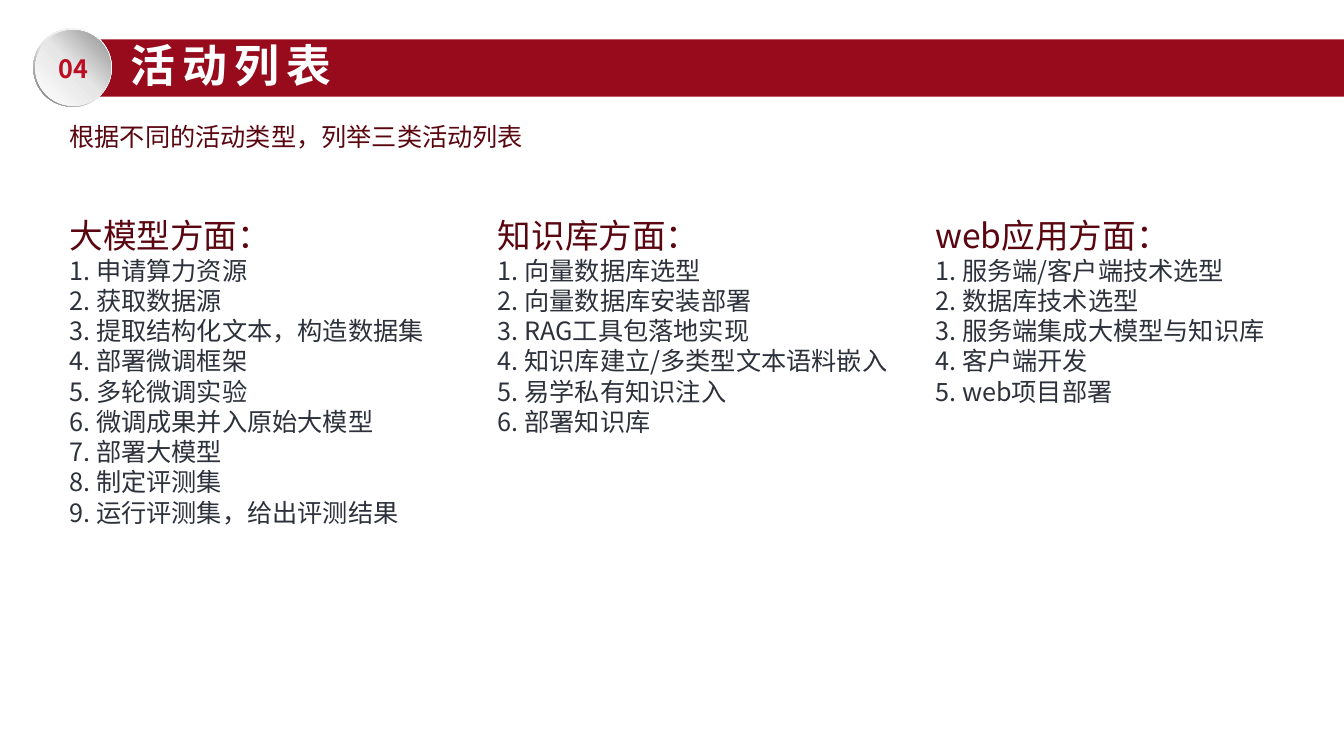
import pptx
import pptx.util
import pptx.dml.color
import pptx.enum.shapes
import pptx.enum.text
import pptx.oxml
import pptx.oxml.ns
import lxml.etree

Inches = pptx.util.Inches
Pt = pptx.util.Pt
SHAPE = pptx.enum.shapes.MSO_SHAPE
FACE = "Noto Sans CJK SC"
WINE = "5A0610"
HEAD = {"size": 24, "color": WINE}
ITEM = {"size": 18, "color": "2D313B"}
LISTS = [
    (0.59, 4.09, 4.14, "大模型方面：", [
        "申请算力资源", "获取数据源", "提取结构化文本，构造数据集",
        "部署微调框架", "多轮微调实验", "微调成果并入原始大模型",
        "部署大模型", "制定评测集", "运行评测集，给出评测结果"]),
    (4.84, 4.18, 2.62, "知识库方面：", [
        "向量数据库选型", "向量数据库安装部署", "RAG工具包落地实现",
        "知识库建立/多类型文本语料嵌入", "易学私有知识注入", "部署知识库"]),
    (9.18, 3.69, 2.32, "web应用方面：", [
        "服务端/客户端技术选型", "数据库技术选型",
        "服务端集成大模型与知识库", "客户端开发", "web项目部署"]),
]


def color(code):
    return pptx.dml.color.RGBColor.from_string(code)


def assign(target, values):
    for name, value in values.items():
        setattr(target, name, value)


def write(par, text, size, color_code, bold=False, gap=0):
    run = par.add_run()
    run.text = text
    assign(run.font, {"name": FACE, "size": Pt(size), "bold": bold})
    run.font.color.rgb = color(color_code)
    props = run.font._element
    lxml.etree.SubElement(props, pptx.oxml.ns.qn("a:ea")).set("typeface", FACE)
    if gap:
        props.set("spc", str(gap * 100))
    par.line_spacing = Pt(size * 1.2)


def add_text(slide, box, lines):
    frame = slide.shapes.add_textbox(*map(Inches, box)).text_frame
    assign(frame, {
        "word_wrap": True,
        "auto_size": pptx.enum.text.MSO_AUTO_SIZE.SHAPE_TO_FIT_TEXT,
    })
    for index, (text, style) in enumerate(lines):
        par = frame.add_paragraph() if index else frame.paragraphs[0]
        write(par, text, style["size"], style["color"],
              style.get("bold", False), style.get("gap", 0))


def add_shape(slide, kind, box):
    shape = slide.shapes.add_shape(kind, *map(Inches, box))
    shape.shadow.inherit = False
    shape.line.fill.background()
    return shape


def shade(shape, stops, angle):
    marks = "".join(
        f'<a:gs pos="{pos * 1000}"><a:srgbClr val="{code}"/></a:gs>'
        for pos, code in stops)
    grad = pptx.oxml.parse_xml(
        f'<a:gradFill {pptx.oxml.ns.nsdecls("a")} rotWithShape="1">'
        f'<a:gsLst>{marks}</a:gsLst>'
        f'<a:lin ang="{angle * 60000}" scaled="0"/></a:gradFill>')
    shape.fill.background()
    blank = shape._element.spPr.find(pptx.oxml.ns.qn("a:noFill"))
    shape._element.spPr.replace(blank, grad)


def add_badge(slide, text):
    ring = add_shape(slide, SHAPE.DONUT, (0.33, 0.28, 0.78, 0.78))
    ring.adjustments[0] = 0.049
    shade(ring, [(0, "FFFFFF"), (55, "E6E6E6"), (100, "6C6C6C")], 135)
    disc = add_shape(slide, SHAPE.OVAL, (0.35, 0.3, 0.75, 0.75))
    shade(disc, [(0, "FFFFFF"), (51, "E6E6E6"), (100, "8F8F8F")], 315)
    frame = disc.text_frame
    edges = ("left", "top", "right", "bottom")
    assign(frame, {f"margin_{edge}": 0 for edge in edges})
    frame.vertical_anchor = pptx.enum.text.MSO_ANCHOR.MIDDLE
    par = frame.paragraphs[0]
    par.alignment = pptx.enum.text.PP_ALIGN.CENTER
    write(par, text, 18, "BB0C21", True)


def add_list(slide, left, width, height, head, items):
    lines = [(head, HEAD)]
    lines += [(f"{num}. {item}", ITEM) for num, item in enumerate(items, 1)]
    add_text(slide, (left, 2.08, width, height), lines)


def main():
    deck = pptx.Presentation()
    assign(deck, {"slide_width": Inches(13.33), "slide_height": Inches(7.5)})
    slide = deck.slides.add_slide(deck.slide_layouts[6])
    band = add_shape(slide, SHAPE.RECTANGLE, (0.79, 0.39, 12.54, 0.57))
    band.fill.solid()
    band.fill.fore_color.rgb = color("970B1C")
    title = {"size": 32, "color": "FFFFFF", "bold": True, "gap": 5}
    add_text(slide, (1.2, 0.33, 4.74, 0.64), [("活动列表", title)])
    add_badge(slide, "04")
    intro = {"size": 18, "color": WINE}
    add_text(slide, (0.59, 1.15, 5.77, 0.4),
             [("根据不同的活动类型，列举三类活动列表", intro)])
    for column in LISTS:
        add_list(slide, *column)
    deck.save("out.pptx")


if __name__ == "__main__":
    main()
